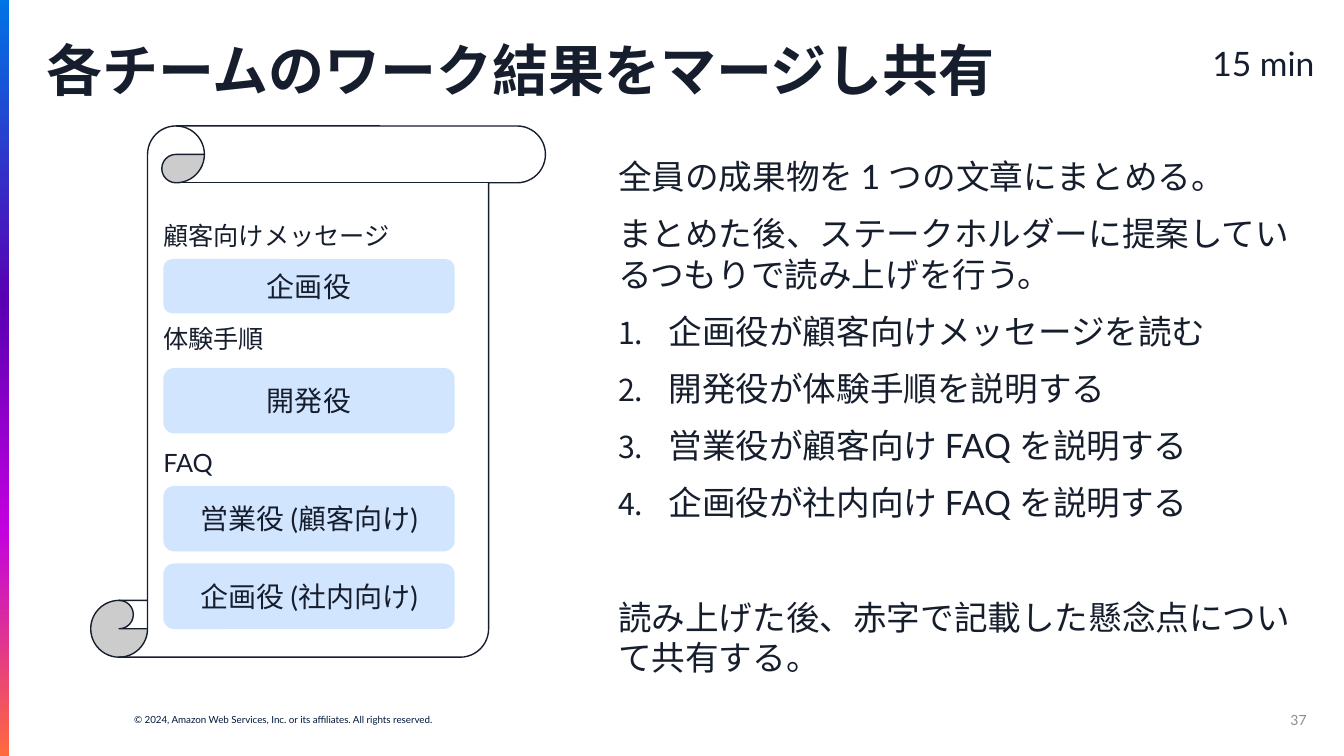
from dataclasses import dataclass

from lxml import etree
from pptx import Presentation
from pptx import util as u
from pptx.dml.color import RGBColor
from pptx.enum import shapes, text
from pptx.oxml.ns import qn


@dataclass(frozen=True)
class Theme:
    font: str = "Lato"
    ink: str = "161E2D"
    navy: str = "00193D"
    grey: str = "8C8D8F"
    paper: str = "FFFFFF"
    card: str = "D2E5FF"
    stripe: tuple = ((0, "0073E5"), (40, "5900B2"), (70, "C300E0"), (100, "FF6A3D"))
    title: float = 40
    body: float = 24
    role: float = 20
    label: float = 18
    number: float = 10
    legal: float = 7


THEME = Theme()
LEFT, CENTER, RIGHT = text.PP_ALIGN.LEFT, text.PP_ALIGN.CENTER, text.PP_ALIGN.RIGHT
TOP, MIDDLE = text.MSO_ANCHOR.TOP, text.MSO_ANCHOR.MIDDLE


def place(box):
    return [u.Inches(length) for length in box]


def write(paragraph, words, size=THEME.body, color=THEME.ink, bold=False, align=LEFT):
    paragraph.text = words
    paragraph.alignment = align
    font = paragraph.font
    font.name, font.size, font.bold = THEME.font, u.Pt(size), bold
    font.color.rgb = RGBColor.from_string(color)


def set_frame(frame, anchor=TOP, inset=0.05):
    frame.word_wrap = True
    frame.auto_size = text.MSO_AUTO_SIZE.NONE
    frame.vertical_anchor = anchor
    frame.margin_left = frame.margin_right = 0
    frame.margin_top = frame.margin_bottom = u.Inches(inset)


def add_text(slide, box, words, anchor=TOP, inset=0.05, **style):
    frame = slide.shapes.add_textbox(*place(box)).text_frame
    set_frame(frame, anchor, inset)
    write(frame.paragraphs[0], words, **style)
    return frame


def add_shape(slide, kind, box, fill=None, line=None):
    shape = slide.shapes.add_shape(kind, *place(box))
    shape.shadow.inherit = False
    if fill:
        shape.fill.solid()
        shape.fill.fore_color.rgb = RGBColor.from_string(fill)
    if line:
        shape.line.color.rgb = RGBColor.from_string(line)
        shape.line.width = u.Pt(1)
    else:
        shape.line.fill.background()
    return shape


def add_stripe(slide, box):
    stripe = add_shape(slide, shapes.MSO_SHAPE.RECTANGLE, box)
    stripe.fill.gradient()
    stripe.fill.gradient_angle = 270
    stops = stripe._element.spPr.find(".//" + qn("a:gsLst"))
    for stop in list(stops):
        stops.remove(stop)
    for percent, color in THEME.stripe:
        stop = etree.SubElement(stops, qn("a:gs"), pos=str(percent * 1000))
        etree.SubElement(stop, qn("a:srgbClr"), val=color)


def add_header(slide, box):
    left, top, width, height = box
    title = slide.shapes.title
    title.left, title.top, title.width, title.height = place(box)
    set_frame(title.text_frame)
    paragraph = title.text_frame.paragraphs[0]
    write(paragraph, "各チームのワーク結果をマージし共有", size=THEME.title, bold=True)
    paragraph.line_spacing = 0.9
    add_text(slide, (left + 11.38, top, 1.38, 0.5), "15 min", align=CENTER)


def add_scroll(slide, box):
    left, top, width, height = box
    add_shape(slide, shapes.MSO_SHAPE.VERTICAL_SCROLL, box, THEME.paper, THEME.ink)
    column = left + 0.72
    for words, offset in (("顧客向けメッセージ", 0.89), ("体験手順", 1.91), ("FAQ", 3.14)):
        add_text(slide, (column, top + offset, 2.81, 0.4), words, size=THEME.label)
    roles = (
        ("企画役", 1.32, 0.54),
        ("開発役", 2.4, 0.65),
        ("営業役 (顧客向け)", 3.57, 0.65),
        ("企画役 (社内向け)", 4.34, 0.65),
    )
    for words, offset, depth in roles:
        card = add_shape(slide, shapes.MSO_SHAPE.ROUNDED_RECTANGLE,
                         (column, top + offset, 2.89, depth), THEME.card)
        set_frame(card.text_frame, MIDDLE)
        write(card.text_frame.paragraphs[0], words, size=THEME.role, align=CENTER)


def number_paragraph(paragraph):
    properties = paragraph._p.get_or_add_pPr()
    indent = u.Inches(0.5)
    properties.set("marL", str(indent))
    properties.set("indent", str(-indent))
    color = etree.SubElement(properties, qn("a:buClr"))
    etree.SubElement(color, qn("a:srgbClr"), val=THEME.ink)
    etree.SubElement(properties, qn("a:buSzPct"), val="90000")
    etree.SubElement(properties, qn("a:buFont"), typeface=THEME.font)
    etree.SubElement(properties, qn("a:buAutoNum"), type="arabicPeriod")


def add_instructions(slide, box):
    opening = "全員の成果物を 1 つの文章にまとめる。"
    reading = "まとめた後、ステークホルダーに提案しているつもりで読み上げを行う。"
    steps = (
        "企画役が顧客向けメッセージを読む",
        "開発役が体験手順を説明する",
        "営業役が顧客向け FAQ を説明する",
        "企画役が社内向け FAQ を説明する",
    )
    closing = "読み上げた後、赤字で記載した懸念点について共有する。"
    frame = add_text(slide, box, opening)
    for words in (reading, *steps, closing):
        paragraph = frame.add_paragraph()
        if words in steps:
            number_paragraph(paragraph)
        write(paragraph, words)
    for paragraph in frame.paragraphs:
        paragraph.space_after = u.Pt(12)
    frame.paragraphs[-1].space_before = u.Pt(41)


def add_footer(slide, box):
    left, top, width, height = box
    add_text(slide, (left, top + 0.14, 5.34, 0.12),
             "© 2024, Amazon Web Services, Inc. or its affiliates. All rights reserved.",
             inset=0, size=THEME.legal, color=THEME.navy)
    add_text(slide, (left + width - 3, top, 3, height), "37", anchor=MIDDLE, inset=0,
             size=THEME.number, color=THEME.grey, align=RIGHT)


def main():
    presentation = Presentation()
    presentation.slide_width = u.Inches(13.33)
    presentation.slide_height = u.Inches(7.5)
    slide = presentation.slides.add_slide(presentation.slide_layouts[5])
    add_stripe(slide, (0, 0, 0.09, 7.5))
    add_header(slide, (0.46, 0.38, 12.49, 0.71))
    add_instructions(slide, (6.13, 1.5, 6.83, 5.32))
    add_scroll(slide, (0.9, 1.25, 4.51, 5.27))
    add_footer(slide, (1.33, 6.94, 11.63, 0.4))
    presentation.save("out.pptx")


if __name__ == "__main__":
    main()
